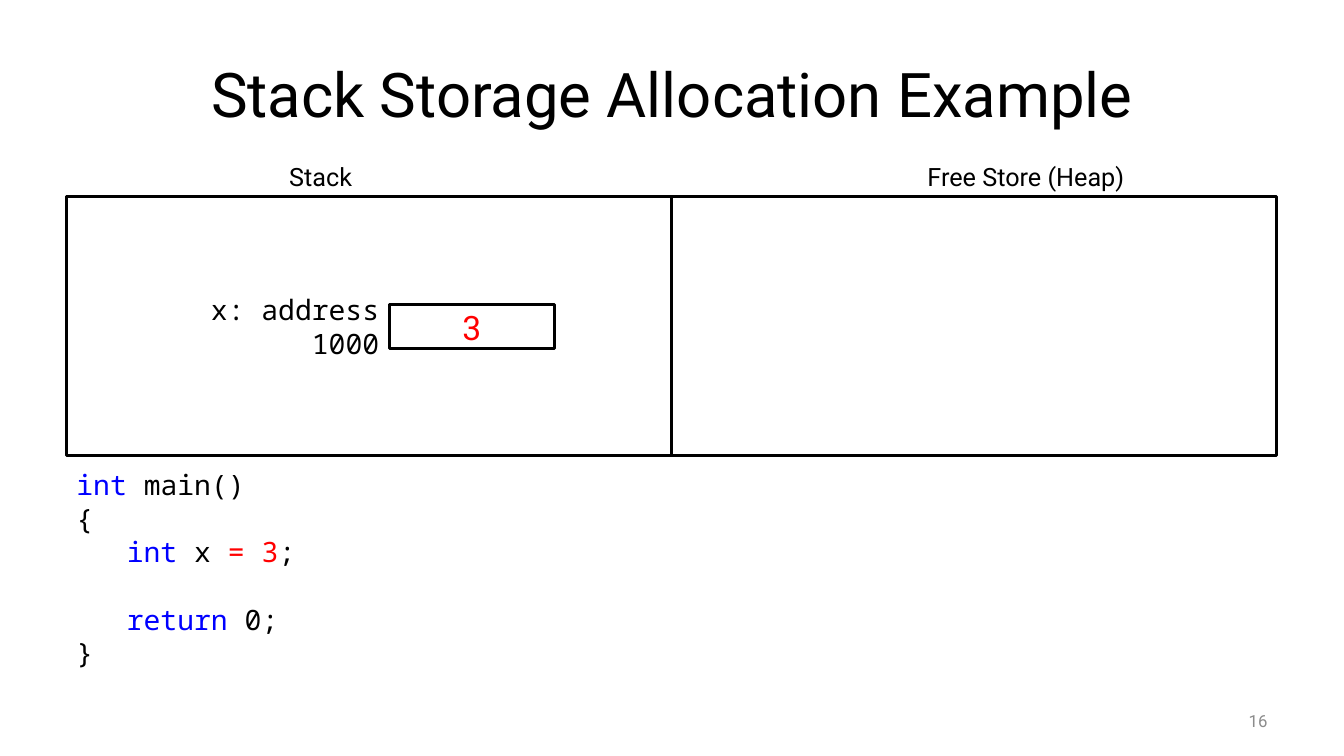
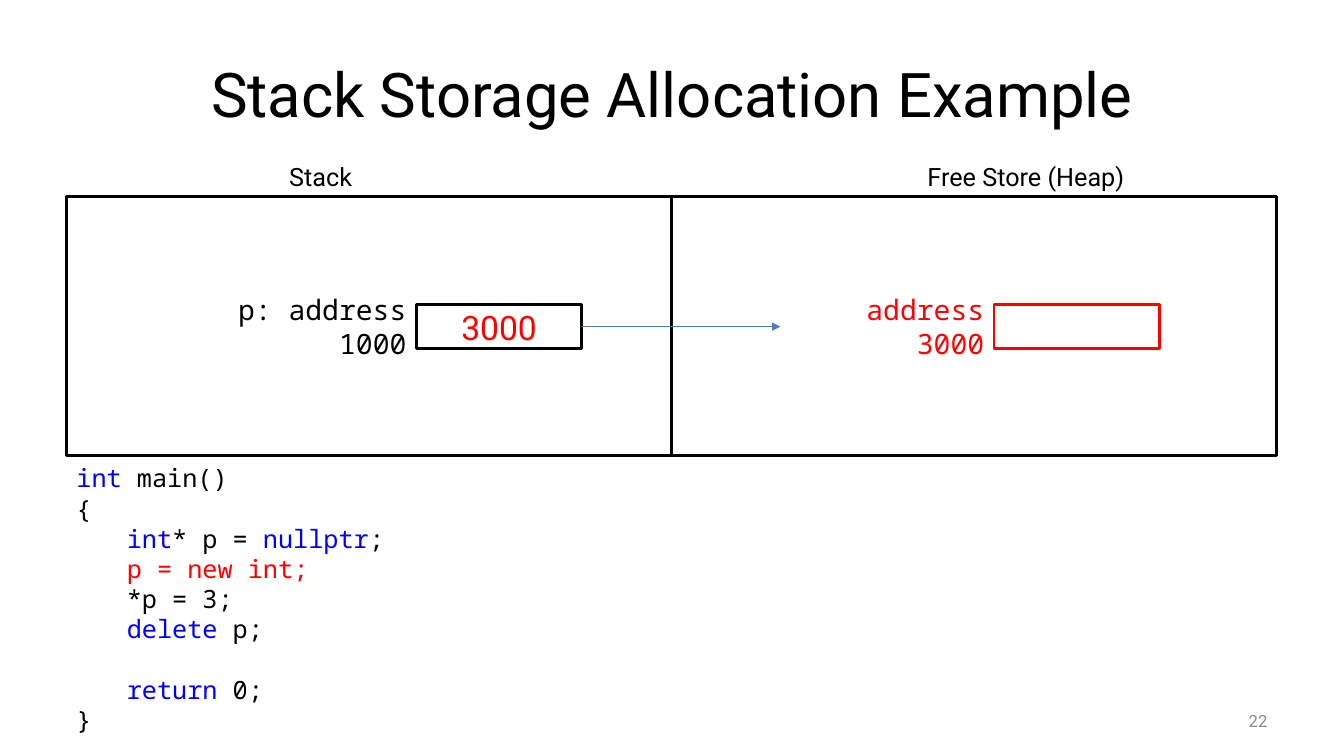
from pptx import Presentation
from pptx.dml.color import RGBColor
from pptx.enum.shapes import MSO_CONNECTOR, MSO_SHAPE
from pptx.enum.text import MSO_ANCHOR, PP_ALIGN
from pptx.oxml.ns import qn
from pptx.util import Inches, Pt
from lxml.etree import SubElement

SANS = "Roboto"
MONO = "Noto Sans Mono"
BLACK = "000000"
WHITE = "FFFFFF"
RED = "FF0000"
BLUE = "0000FF"
GRAY = "8C8C8C"
ARROW = "4B7EBC"

TITLE = "Stack Storage Allocation Example"
TITLE_BOX = (0.67, 0.3, 12, 1.25)
AREA_LEFT, AREA_TOP, AREA_WIDTH, AREA_HEIGHT = 0.66, 1.95, 6, 2.57
CELL_TOP, CELL_WIDTH, CELL_HEIGHT = 3.02, 1.64, 0.44
LINE_HEIGHT = 1.2

STACK_CODE = [
    (0, [("int ", BLUE), ("main()", BLACK)]),
    (0, [("{", BLACK)]),
    (1, [("int", BLUE), (" x ", BLACK), ("= 3", RED), (";", BLACK)]),
    None,
    (1, [("return", BLUE), (" 0;", BLACK)]),
    (0, [("}", BLACK)]),
]
POINTER_CODE = [
    (0, [("int ", BLUE), ("main()", BLACK)]),
    (0, [("{", BLACK)]),
    (1, [("int", BLUE), ("* p = ", BLACK), ("nullptr", BLUE), (";", BLACK)]),
    (1, [("p = new int;", RED)]),
    (1, [("*p = 3;", BLACK)]),
    (1, [("delete", BLUE), (" p;", BLACK)]),
    None,
    (1, [("return", BLUE), (" 0;", BLACK)]),
    (0, [("}", BLACK)]),
]


def color(value):
    return RGBColor.from_string(value)


def inches(*values):
    return [Inches(value) for value in values]


def add_run(paragraph, text, size, font_name, font_color):
    run = paragraph.add_run()
    run.text = text
    run.font.size = Pt(size)
    run.font.name = font_name
    run.font.color.rgb = color(font_color)


def write_line(shape, text, size, font_name=SANS, font_color=BLACK,
               alignment=PP_ALIGN.LEFT, anchor=MSO_ANCHOR.TOP):
    frame = shape.text_frame
    frame.word_wrap = True
    frame.vertical_anchor = anchor
    paragraph = frame.paragraphs[0]
    paragraph.alignment = alignment
    add_run(paragraph, text, size, font_name, font_color)


def add_label(slide, box, text, size, **style):
    label = slide.shapes.add_textbox(*inches(*box))
    write_line(label, text, size, **style)
    return label


def add_box(slide, box, line_color=BLACK):
    shape = slide.shapes.add_shape(MSO_SHAPE.RECTANGLE, *inches(*box))
    shape.shadow.inherit = False
    shape.fill.solid()
    shape.fill.fore_color.rgb = color(WHITE)
    shape.line.color.rgb = color(line_color)
    shape.line.width = Pt(2)
    return shape


def add_memory_cell(slide, left, label_width, label, value="", outline=BLACK):
    cell = add_box(slide, (left, CELL_TOP, CELL_WIDTH, CELL_HEIGHT), outline)
    if value:
        write_line(cell, value, 24, font_color=RED,
                   alignment=PP_ALIGN.CENTER, anchor=MSO_ANCHOR.MIDDLE)
    label_box = (left - label_width, CELL_TOP, label_width, CELL_HEIGHT)
    address = add_label(slide, label_box, label, 20, font_name=MONO,
                        font_color=outline, alignment=PP_ALIGN.RIGHT,
                        anchor=MSO_ANCHOR.MIDDLE)
    return cell, address


def add_pointer(slide, cell, target):
    pointer = slide.shapes.add_connector(MSO_CONNECTOR.STRAIGHT, 0, 0, 0, 0)
    pointer.begin_connect(cell, 3)
    pointer.end_connect(target, 1)
    pointer.line.color.rgb = color(ARROW)
    pointer.line.width = Pt(0.75)
    SubElement(pointer.line._get_or_add_ln(), qn("a:tailEnd"), type="triangle")
    SubElement(pointer._element.spPr, qn("a:effectLst"))


def add_code(slide, top, height, size, lines):
    box = slide.shapes.add_textbox(*inches(AREA_LEFT, top, 2 * AREA_WIDTH, height))
    frame = box.text_frame
    frame.word_wrap = True
    paragraph = frame.paragraphs[0]
    gap = 0
    for index, line in enumerate(lines):
        if line is None:
            gap = LINE_HEIGHT * size
            continue
        level, runs = line
        if index:
            paragraph = frame.add_paragraph()
        if level:
            paragraph.level = level
            properties = paragraph._p.get_or_add_pPr()
            properties.set("marL", str(Inches(0.5) * level))
            properties.set("indent", "0")
        if gap:
            paragraph.space_before = Pt(gap)
            gap = 0
        for text, font_color in runs:
            add_run(paragraph, text, size, MONO, font_color)


def place_title(layout):
    title = layout.placeholders[0]
    title.left, title.top, title.width, title.height = inches(*TITLE_BOX)


def add_memory_slide(presentation, layout, number):
    slide = presentation.slides.add_slide(layout)
    write_line(slide.shapes.title, TITLE, 44, alignment=PP_ALIGN.CENTER,
               anchor=MSO_ANCHOR.MIDDLE)
    add_label(slide, (9.56, 6.95, 3.11, 0.4), number, 12, font_color=GRAY,
              alignment=PP_ALIGN.RIGHT, anchor=MSO_ANCHOR.MIDDLE)
    areas = [("Stack", 2.77, 1.21), ("Free Store (Heap)", 9.1, 2.58)]
    for column, (name, left, width) in enumerate(areas):
        area_left = AREA_LEFT + column * AREA_WIDTH
        add_box(slide, (area_left, AREA_TOP, AREA_WIDTH, AREA_HEIGHT))
        add_label(slide, (left, 1.55, width, 0.4), name, 18)
    return slide


def add_stack_slide(presentation, layout):
    slide = add_memory_slide(presentation, layout, "16")
    add_memory_cell(slide, 3.86, 2.58, "x: address 1000", "3")
    add_code(slide, 4.59, 2.12, 20, STACK_CODE)


def add_pointer_slide(presentation, layout):
    slide = add_memory_slide(presentation, layout, "22")
    cell, _ = add_memory_cell(slide, 4.13, 2.58, "p: address 1000", "3000")
    _, target = add_memory_cell(slide, 9.86, 2.12, "address 3000", outline=RED)
    add_code(slide, 4.54, 2.83, 18, POINTER_CODE)
    add_pointer(slide, cell, target)


def main():
    presentation = Presentation()
    presentation.slide_width, presentation.slide_height = inches(13.33, 7.5)
    layout = presentation.slide_layouts.get_by_name("Title Only")
    place_title(layout)
    add_stack_slide(presentation, layout)
    add_pointer_slide(presentation, layout)
    presentation.save("out.pptx")


if __name__ == "__main__":
    main()
